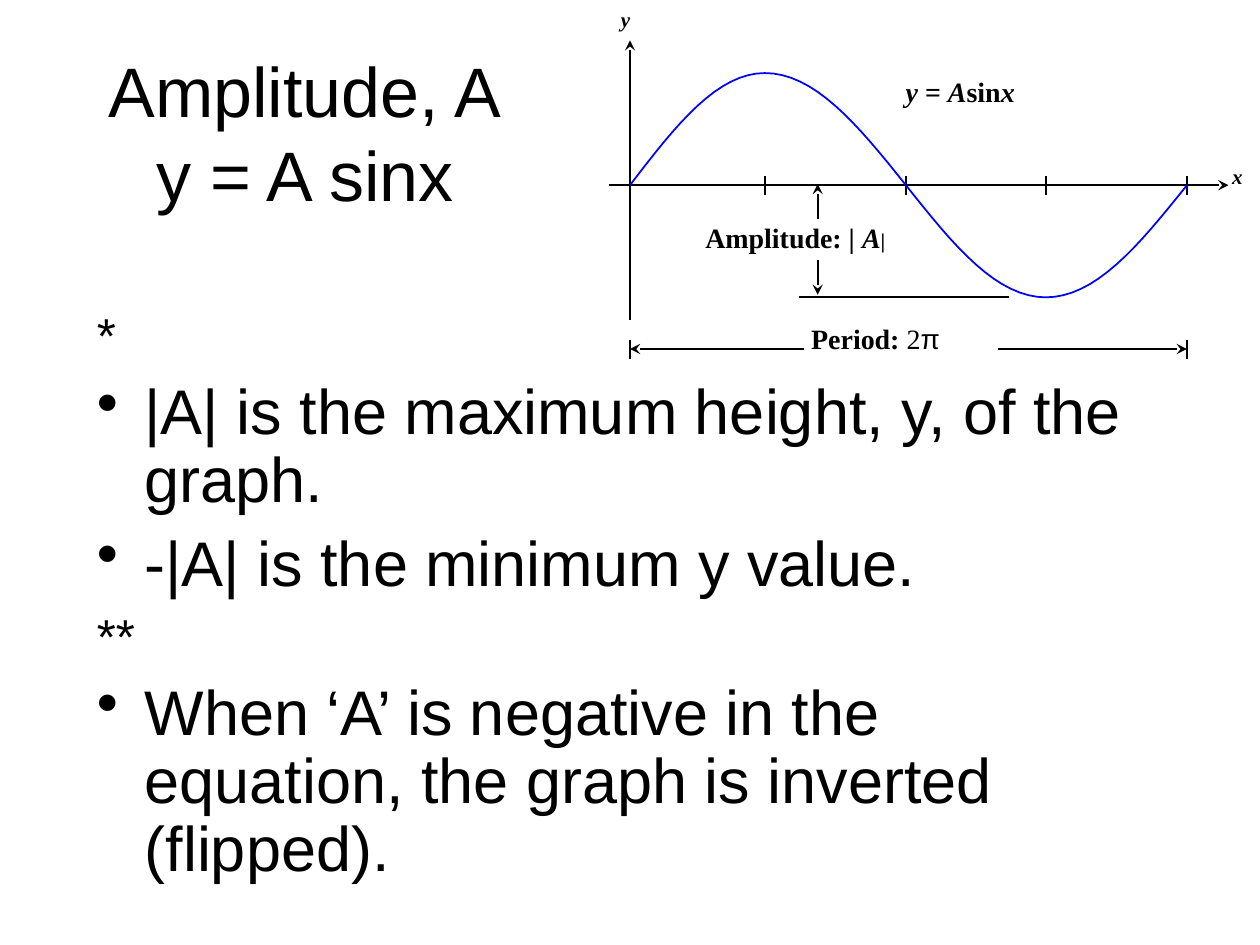
import math
from dataclasses import dataclass

from lxml import etree
from pptx import Presentation
from pptx.dml.color import RGBColor
from pptx.enum.shapes import MSO_CONNECTOR
from pptx.enum.text import MSO_ANCHOR, PP_ALIGN
from pptx.oxml.ns import qn
from pptx.util import Inches, Pt

STRAIGHT = MSO_CONNECTOR.STRAIGHT
TOP, MIDDLE, BOTTOM = MSO_ANCHOR.TOP, MSO_ANCHOR.MIDDLE, MSO_ANCHOR.BOTTOM
CENTER = PP_ALIGN.CENTER


@dataclass(frozen=True)
class Theme:
    ink: RGBColor = RGBColor(0, 0, 0)
    curve: RGBColor = RGBColor(0, 0, 255)
    body_font: str = "Arial"
    graph_font: str = "Times New Roman"
    title: int = 40
    bullet: int = 36
    marker: int = 28
    label: int = 16
    small: int = 12
    line: int = 1


THEME = Theme()


def style(font, name, size):
    font.name, font.size = name, Pt(size)
    font.color.rgb = THEME.ink


def add_text_frame(shapes, box, anchor=TOP, wrap=True):
    tf = shapes.add_textbox(*map(Inches, box)).text_frame
    tf.word_wrap = wrap
    tf.vertical_anchor = anchor
    return tf


def add_title(slide, box, text):
    p = add_text_frame(slide.shapes, box, MIDDLE).paragraphs[0]
    p.text = text
    p.alignment = CENTER
    style(p.font, THEME.body_font, THEME.title)


def add_body(slide, box, items):
    """Place (text, is_bullet) items; the others are small markers."""
    tf = add_text_frame(slide.shapes, box)
    for i, (text, is_bullet) in enumerate(items):
        p = tf.paragraphs[0] if i == 0 else tf.add_paragraph()
        p.text = text
        p.line_spacing = 0.9
        p.space_before = Pt(9 if is_bullet else 7)
        style(p.font, THEME.body_font, THEME.bullet if is_bullet else THEME.marker)
        pPr = p._p.get_or_add_pPr()
        pPr.set("marL", str(Inches(0.38)))
        pPr.set("indent", str(-Inches(0.38)))
        if is_bullet:
            bullet = etree.Element(qn("a:buChar"), char="•")
            pPr.find(qn("a:defRPr")).addprevious(bullet)


def add_label(shapes, box, runs, size=THEME.label, anchor=TOP):
    """Write bold graph text; each run is (text, font overrides)."""
    p = add_text_frame(shapes, box, anchor, wrap=False).paragraphs[0]
    style(p.font, THEME.graph_font, size)
    p.font.bold = True
    for text, overrides in runs:
        r = p.add_run()
        r.text = text
        for name, value in overrides.items():
            setattr(r.font, name, value)
    return p


def add_line(shapes, x1, y1, x2, y2, arrow=False):
    """Draw a line, with an arrowhead at its end if asked."""
    line = shapes.add_connector(STRAIGHT, *map(Inches, (x1, y1, x2, y2)))
    line.line.color.rgb = THEME.ink
    line.line.width = Pt(THEME.line)
    if arrow:
        etree.SubElement(line.line._get_or_add_ln(), qn("a:tailEnd"), type="stealth")
    etree.SubElement(line._element.spPr, qn("a:effectLst"))


def add_sine_curve(shapes, quarters, axis_y, amplitude, steps=16):
    """Draw one sine period whose quarter turns fall on the given x values."""
    points = []
    for q, (x1, x2) in enumerate(zip(quarters, quarters[1:])):
        for i in range(steps + 1):
            t = i / steps
            y = axis_y - amplitude * math.sin((q + t) * math.pi / 2)
            points.append((Inches(x1 + (x2 - x1) * t), Inches(y)))
    builder = shapes.build_freeform(*points[0])
    builder.add_line_segments(points[1:], close=False)
    sp = builder.convert_to_shape()
    sp.shadow.inherit = False
    sp.fill.background()
    sp.line.color.rgb = THEME.curve
    sp.line.width = Pt(THEME.line)


def add_graph(slide, box):
    left, top, width, _ = box
    shapes = slide.shapes.add_group_shape().shapes
    start, end, axis_y = left + 0.17, left + 4.59, top + 1.47
    amplitude = 0.89
    low_y, period_y = axis_y + amplitude, top + 2.77
    ticks = [left + x for x in (1.24, 2.36, 3.47)] + [end]
    italic = {"italic": True}

    add_label(shapes, (left + 4.85, top + 1.25, 0.29, 0.3), [("x", italic)], THEME.small)
    add_label(shapes, (left, top, 0.28, 0.3), [("y", italic)], THEME.small)
    add_line(shapes, start, top + 2.54, start, top + 0.32, arrow=True)
    add_line(shapes, left, axis_y, left + width - 0.22, axis_y, arrow=True)
    for x in ticks:
        add_line(shapes, x, axis_y - 0.07, x, axis_y + 0.08)
    add_sine_curve(shapes, [start] + ticks, axis_y, amplitude)

    for inner, outer in ((left + 1.55, start), (left + 3.09, end)):
        add_line(shapes, inner, period_y, outer, period_y, arrow=True)
        add_line(shapes, outer, period_y + 0.08, outer, period_y - 0.07)

    add_label(shapes, (left + 2.26, top + 0.54, 1.07, 0.37),
              [("y", italic), (" = ", {}), ("A", italic), ("sin", {}), ("x", italic)])
    p = add_label(shapes, (left + 0.67, top + 1.73, 1.63, 0.34),
                  [("Amplitude: | ", {}), ("A", italic), ("|", {"size": Pt(THEME.small)})])
    p.line_spacing, p.space_before = 0.9, Pt(3)
    add_label(shapes, (left + 1.51, top + 2.44, 1.23, 0.43),
              [("Period:", {}), (" 2", {"bold": False}),
               ("π", {"bold": False, "name": THEME.body_font})], anchor=BOTTOM)

    arrow_x = left + 1.66
    add_line(shapes, left + 1.51, low_y, left + 3.18, low_y)
    add_line(shapes, arrow_x, top + 2.06, arrow_x, low_y - 0.02, arrow=True)
    add_line(shapes, arrow_x, top + 1.74, arrow_x, axis_y - 0.01, arrow=True)


def main():
    prs = Presentation()
    prs.slide_width, prs.slide_height = Inches(10), Inches(7.5)
    slide = prs.slides.add_slide(prs.slide_layouts[6])
    add_title(slide, (0.67, 0.42, 3.5, 1.25), "Amplitude, A\vy = A sinx")
    add_body(slide, (0.67, 2.42, 8.5, 4.67), [
        ("*", False),
        ("|A| is the maximum height, y, of the graph.", True),
        ("-|A| is the minimum y value.", True),
        ("**", False),
        ("When ‘A’ is negative in the equation, the graph is inverted (flipped).", True),
    ])
    add_graph(slide, (4.83, 0, 5.14, 2.87))
    prs.save("out.pptx")


if __name__ == "__main__":
    main()
